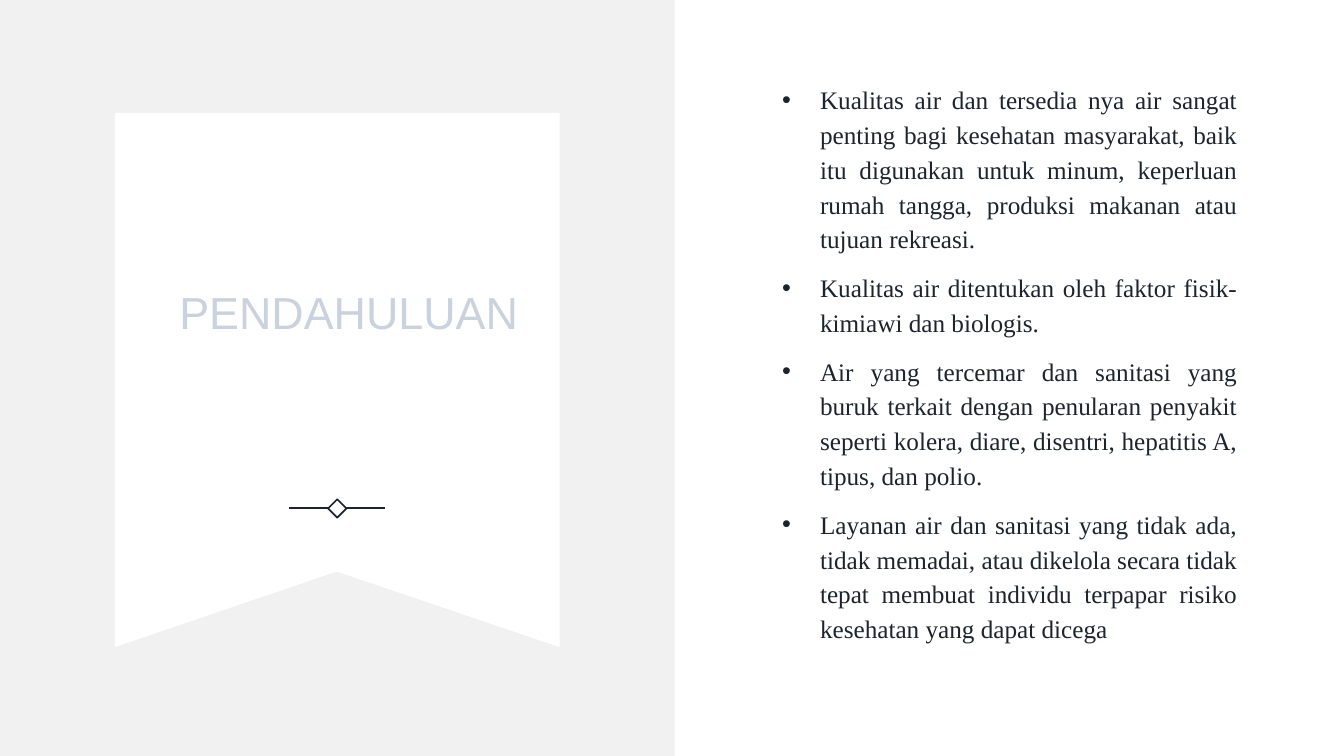
"""Build the PENDAHULUAN slide with a ribbon title panel and a bullet list."""
from dataclasses import dataclass

from lxml.etree import SubElement
from pptx import Presentation
from pptx.dml.color import RGBColor
from pptx.enum.shapes import MSO_CONNECTOR as CONN, MSO_SHAPE as SHAPE
from pptx.enum.text import MSO_ANCHOR as ANCHOR, PP_ALIGN as ALIGN
from pptx.oxml.ns import qn
from pptx.util import Inches, Pt

INK = RGBColor(0x1D, 0x24, 0x2E)
PALE = RGBColor(0xCA, 0xD2, 0xDD)
GREY = RGBColor(0xF2, 0xF1, 0xF1)
WHITE = RGBColor(0xFF, 0xFF, 0xFF)

RIBBON = [(1.14, 1.12), (5.55, 1.12), (5.55, 6.42), (3.34, 5.67), (1.14, 6.42)]
RULE_Y = 5.04
DIAMOND = 0.13
BULLET_INDENT = 0.375
BULLETS = [
    "Kualitas air dan tersedia nya air sangat penting bagi kesehatan masyarakat, "
    "baik itu digunakan untuk minum, keperluan rumah tangga, produksi makanan atau "
    "tujuan rekreasi.",
    "Kualitas air ditentukan oleh faktor fisik-kimiawi dan biologis.",
    "Air yang tercemar dan sanitasi yang buruk terkait dengan penularan penyakit "
    "seperti kolera, diare, disentri, hepatitis A, tipus, dan polio.",
    "Layanan air dan sanitasi yang tidak ada, tidak memadai, atau dikelola secara "
    "tidak tepat membuat individu terpapar risiko kesehatan yang dapat dicega",
]


@dataclass(frozen=True)
class Rule:
    start: float
    end: float


RULES = [Rule(3.43, 3.82), Rule(2.87, 3.26)]


def paint(sp, color: RGBColor) -> None:
    sp.shadow.inherit = False
    sp.fill.solid()
    sp.fill.fore_color.rgb = color
    sp.line.fill.background()


def add_ribbon(s) -> None:
    first, *rest = [(Inches(x), Inches(y)) for x, y in RIBBON]
    builder = s.shapes.build_freeform(*first)
    builder.add_line_segments(rest, close=True)
    paint(builder.convert_to_shape(), WHITE)


def add_ornament(s) -> None:
    group = s.shapes.add_group_shape()
    sp = group.shapes.add_shape(SHAPE.RECTANGLE, Inches(3.28), Inches(4.98),
                                Inches(DIAMOND), Inches(DIAMOND))
    sp.shadow.inherit = False
    sp.rotation = 45
    sp.fill.background()
    lines = [sp.line]
    for rule in RULES:
        cx = group.shapes.add_connector(CONN.STRAIGHT, Inches(rule.start), Inches(RULE_Y),
                                        Inches(rule.end), Inches(RULE_Y))
        SubElement(cx._element.spPr, qn("a:effectLst"))
        lines.append(cx.line)
    for line in lines:
        line.color.rgb = INK
        line.width = Pt(1.25)


def add_bullet(p) -> None:
    pPr = p._p.get_or_add_pPr()
    pPr.set("marL", str(Inches(BULLET_INDENT)))
    pPr.set("indent", str(-Inches(BULLET_INDENT)))
    SubElement(pPr, qn("a:buFont"), typeface="Arial")
    SubElement(pPr, qn("a:buChar"), char="•")


def add_text(s, texts: list[str], x: float, y: float, w: float, h: float, *, font: str,
             size: int, color: RGBColor, align: ALIGN, bullets: bool = False) -> None:
    tf = s.shapes.add_textbox(Inches(x), Inches(y), Inches(w), Inches(h)).text_frame
    tf.word_wrap = True
    tf.vertical_anchor = ANCHOR.MIDDLE
    for i, text in enumerate(texts):
        p = tf.add_paragraph() if i else tf.paragraphs[0]
        p.alignment = align
        p.line_spacing = 1.15
        p.space_before = Pt(10 if i else 0)
        if bullets:
            add_bullet(p)
        r = p.add_run()
        r.text = text
        r.font.name = font
        r.font.size = Pt(size)
        r.font.color.rgb = color


def main() -> None:
    prs = Presentation()
    prs.slide_width, prs.slide_height = Inches(13.33), Inches(7.5)
    s = prs.slides.add_slide(prs.slide_layouts[6])
    panel = s.shapes.add_shape(SHAPE.RECTANGLE, 0, 0, Inches(6.69), prs.slide_height)
    paint(panel, GREY)
    add_ribbon(s)
    add_ornament(s)
    add_text(s, ["PENDAHULUAN"], 1.5, 1.48, 3.92, 3.14,
             font="Arial", size=32, color=PALE, align=ALIGN.CENTER)
    add_text(s, BULLETS, 7.66, 0.95, 4.71, 5.28, font="Times New Roman", size=18,
             color=INK, align=ALIGN.JUSTIFY, bullets=True)
    prs.save("out.pptx")


if __name__ == "__main__":
    main()
